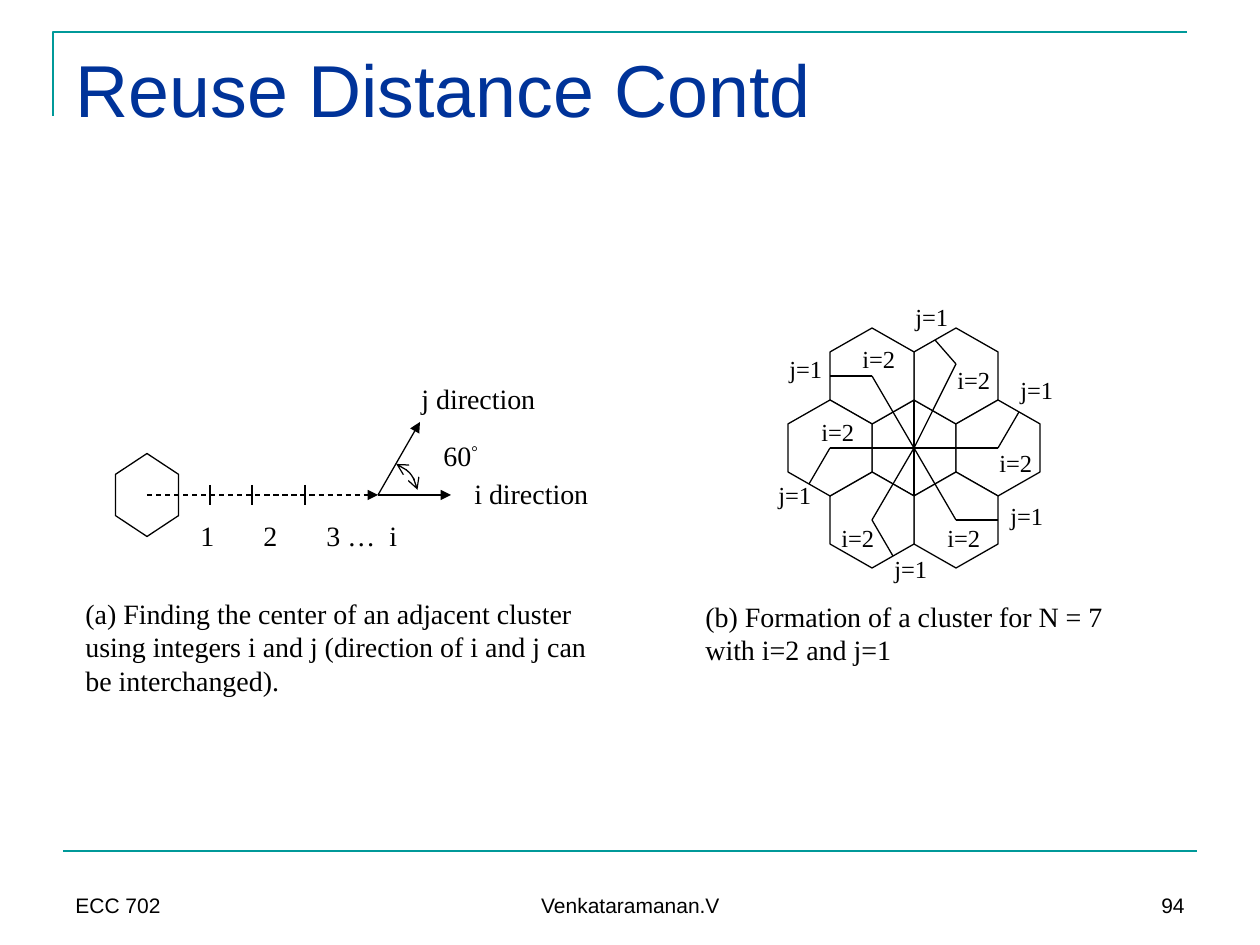
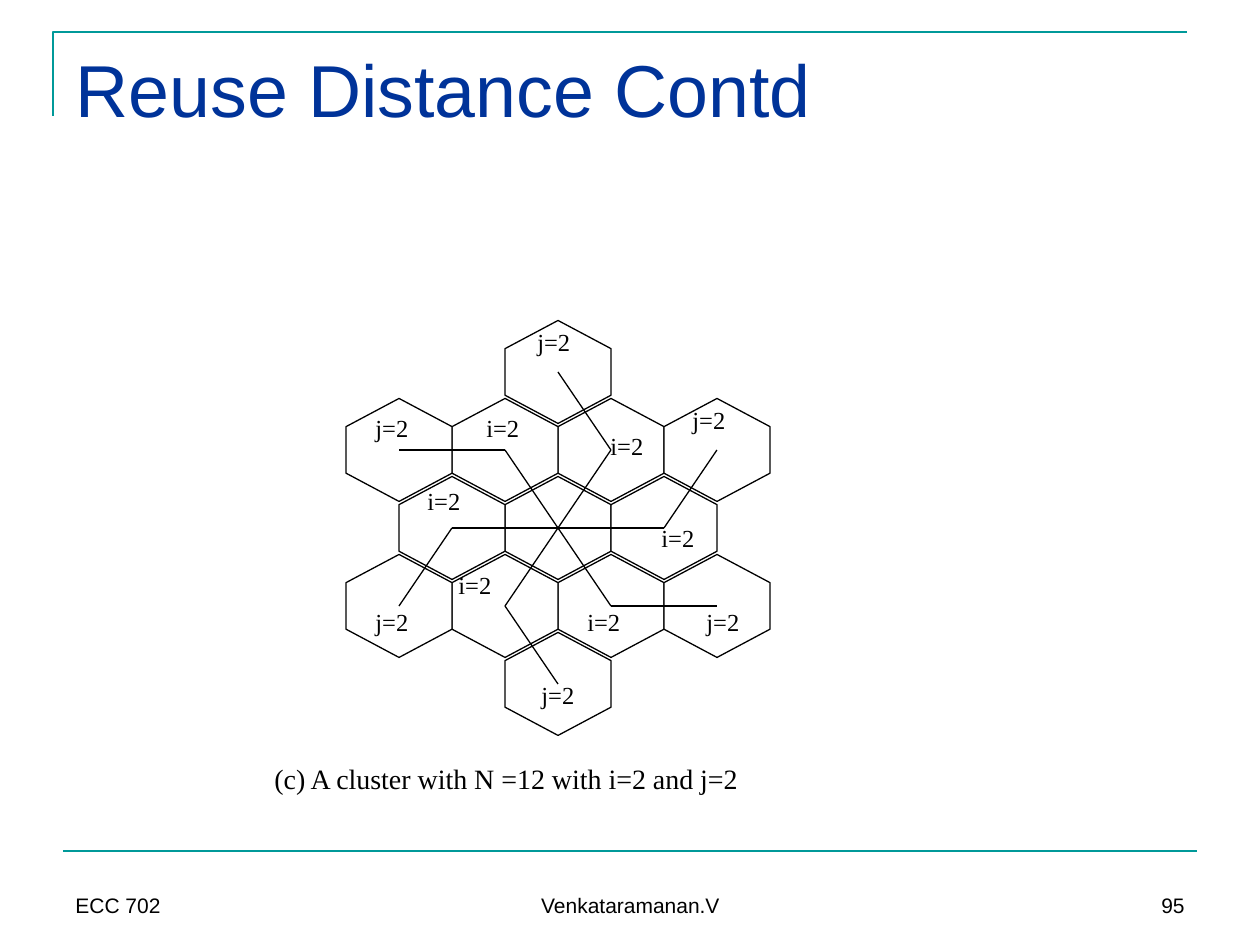
import pptx
import pptx.dml.color
import pptx.enum.dml
import pptx.enum.shapes
import pptx.enum.text
import pptx.oxml.ns
import pptx.util
import lxml.etree

RGBColor = pptx.dml.color.RGBColor
ALIGN = pptx.enum.text.PP_ALIGN
ANCHOR = pptx.enum.text.MSO_ANCHOR
SHAPE = pptx.enum.shapes.MSO_SHAPE

TEAL = RGBColor(0x00, 0x99, 0x99)
NAVY = RGBColor(0x00, 0x33, 0x99)
BLACK = RGBColor(0x00, 0x00, 0x00)
WHITE = RGBColor(0xFF, 0xFF, 0xFF)

SANS = "Arial"
SERIF = "Times New Roman"
PX_PER_INCH = 126
PAGE_WIDTH, PAGE_HEIGHT = 1260, 945


def px(length):
    return pptx.util.Inches(length / PX_PER_INCH)


def add_child(parent, tag, **attributes):
    return lxml.etree.SubElement(parent, pptx.oxml.ns.qn(tag), attributes)


class Board:
    """Holds the deck, its style and the slide being drawn."""

    def __init__(self):
        self.deck = pptx.Presentation()
        self.deck.slide_width = px(PAGE_WIDTH)
        self.deck.slide_height = px(PAGE_HEIGHT)
        self.shapes = None

    def page(self, title, number):
        """Start a slide with the shared bands, title and footers."""
        self.shapes = self.deck.slides.add_slide(self.deck.slide_layouts[5]).shapes
        self.corner([(53, 116), (53, 32), (1187, 32)])
        self.line((63, 851), (1197, 851), TEAL, 1.5)

        heading = self.shapes.title
        heading.left, heading.top = px(63), px(38)
        heading.width, heading.height = px(1134), px(158)
        frame = heading.text_frame
        frame.text = title
        frame.auto_size = pptx.enum.text.MSO_AUTO_SIZE.NONE
        frame.vertical_anchor = ANCHOR.TOP
        self.format(frame, 42, SANS, NAVY, ALIGN.LEFT)

        footers = [
            ("ECC 702", 63, 294, ALIGN.LEFT),
            ("Venkataramanan.V", 431, 399, ALIGN.CENTER),
            (str(number), 903, 294, ALIGN.RIGHT),
        ]
        for words, left, width, align in footers:
            self.text(words, (left, 861), (width, 63), 12, SANS, align, ANCHOR.BOTTOM)

    def format(self, frame, size, font, color, align):
        for para in frame.paragraphs:
            para.alignment = align
            for span in para.runs:
                span.font.size = pptx.util.Pt(size)
                span.font.name = font
                span.font.color.rgb = color

    def text(self, words, corner, size, points=16, font=SERIF,
             align=ALIGN.LEFT, anchor=ANCHOR.TOP):
        box = self.shapes.add_textbox(*map(px, corner + size))
        frame = box.text_frame
        frame.word_wrap = True
        frame.vertical_anchor = anchor
        frame.text = words
        self.format(frame, points, font, BLACK, align)
        return frame.paragraphs[0]

    def tabbed_text(self, words, corner, size, stops):
        """Write words in columns; the first stop is the indent."""
        para = self.text("\t".join(words), corner, size)
        properties = para._p.get_or_add_pPr()
        properties.set("marL", str(px(stops[0])))
        properties.set("indent", "0")
        tabs = add_child(properties, "a:tabLst")
        for stop in stops[1:]:
            add_child(tabs, "a:tab", pos=str(px(stop)), algn="l")

    def labels(self, words, corners, size):
        for corner in corners:
            self.text(words, corner, size, 14)

    def line(self, start, end, color=BLACK, width=0.75, dashed=False, tail=None):
        connector = self.shapes.add_connector(
            pptx.enum.shapes.MSO_CONNECTOR.STRAIGHT, *map(px, start + end))
        add_child(connector._element.spPr, "a:effectLst")
        self.stroke(connector, color, width)
        if dashed:
            connector.line.dash_style = pptx.enum.dml.MSO_LINE.DASH
        if tail:
            add_child(connector.line._get_or_add_ln(), "a:tailEnd", type=tail)

    def stroke(self, shape, color=BLACK, width=0.75):
        shape.line.color.rgb = color
        shape.line.width = pptx.util.Pt(width)

    def corner(self, points):
        builder = self.shapes.build_freeform(*points[0], scale=px(1))
        builder.add_line_segments(points[1:], close=False)
        outline = builder.convert_to_shape()
        outline.shadow.inherit = False
        outline.fill.background()
        self.stroke(outline, TEAL, 1.5)

    def hexagon(self, center, size, slant):
        """Draw a hexagon that stands on a point; size is (height, width)."""
        length, breadth = size
        left, top = center[0] - length / 2, center[1] - breadth / 2
        cell = self.shapes.add_shape(
            SHAPE.HEXAGON, px(left), px(top), px(length), px(breadth))
        cell.rotation = 90
        cell.adjustments[0] = slant
        cell.shadow.inherit = False
        cell.fill.solid()
        cell.fill.fore_color.rgb = WHITE
        self.stroke(cell)

    def angle_arc(self, center, radius, start, end):
        """Draw a two-headed arc between clockwise angles in degrees."""
        left, top = center[0] - radius, center[1] - radius
        arc = self.shapes.add_shape(
            SHAPE.ARC, px(left), px(top), px(2 * radius), px(2 * radius))
        arc.adjustments[0] = start * 0.6
        arc.adjustments[1] = end * 0.6
        arc.shadow.inherit = False
        arc.fill.background()
        self.stroke(arc)
        for tag in ("a:headEnd", "a:tailEnd"):
            add_child(arc.line._get_or_add_ln(), tag, type="arrow")

    def cluster(self, center, step, cells, spokes, size, slant):
        """Draw cells and bent spokes at (column, row) grid places."""
        def place(spot):
            return tuple(round(c + s * g) for c, s, g in zip(center, step, spot))

        for cell in cells:
            self.hexagon(place(cell), size, slant)
        for spoke in spokes:
            for start, end in zip(spoke, spoke[1:]):
                self.line(place(start), place(end))


HUB = (0, 0)
RING = [(1, -1), (-1, -1), (2, 0), (1, 1), (-1, 1), (-2, 0)]


def draw_directions(board):
    axis_y = 495
    origin, turn = (147, axis_y), (378, axis_y)
    board.hexagon(origin, (83, 63), 0.33)
    board.line(origin, turn, dashed=True, tail="triangle")
    board.line(turn, (420, 422), tail="triangle")
    board.line(turn, (451, axis_y), tail="triangle")
    board.angle_arc((385, axis_y), 33, 290, 351)
    for x in (210, 252, 305):
        board.line((x, axis_y - 10), (x, axis_y + 10))
    board.tabbed_text(["1", "2", "3 …", "i"], (147, 512), (378, 47), [41, 83, 132, 195])
    board.text("j direction", (409, 375), (179, 47))
    board.text("i direction", (462, 470), (179, 47))

    angle = board.text("60", (431, 432), (73, 47))
    degree = angle.add_run()
    degree.text = "°"
    degree.font.size = pptx.util.Pt(16)
    degree.font.name = SERIF
    degree.font.color.rgb = BLACK
    degree._r.get_or_add_rPr().set("baseline", "30000")

    board.text("(a) Finding the center of an adjacent cluster using integers i and j "
               "(direction of i and j can be interchanged).", (73, 590), (557, 113))


def draw_seven_cells(board):
    spokes = [
        [(0, -0.67), (0, 0.67)],
        [(-1, 0), (1, 0)],
        [HUB, (-1, -1), (-2, -1)],
        [HUB, (1, -1.17), (0.5, -1.5)],
        [HUB, (2, 0), (2.5, -0.5)],
        [HUB, (1, 1), (2, 1)],
        [HUB, (-1, 1), (-0.5, 1.5)],
        [HUB, (-2, 0), (-2.5, 0.5)],
    ]
    board.cluster((914, 448), (42, 72), [HUB] + RING, spokes, (96, 84), 0.285)
    size = (63, 42)
    board.labels("i=2", [(850, 338), (945, 359), (809, 411),
                         (987, 442), (935, 517), (829, 517)], size)
    board.labels("j=1", [(777, 348), (903, 296), (766, 474),
                         (882, 548), (1008, 369), (998, 495)], size)
    board.text("(b) Formation of a cluster for N = 7 with i=2 and j=1", (693, 593), (462, 81))


def draw_twelve_cells(board):
    outer = [(0, 2), (-3, -1), (3, 1), (-3, 1), (3, -1), (0, -2)]
    spokes = [
        [HUB, (-1, -1), (-3, -1)],
        [HUB, (1, -1), (0, -2)],
        [HUB, (2, 0), (3, -1)],
        [HUB, (1, 1), (3, 1)],
        [HUB, (-1, 1), (0, 2)],
        [HUB, (-2, 0), (-3, 1)],
    ]
    board.cluster((558, 528), (53, 78), [HUB] + RING + outer, spokes, (103, 106), 0.274)
    size = (106, 49)
    board.labels("j=2", [(680, 399), (525, 321), (363, 407),
                         (694, 601), (363, 601), (529, 674)], size)
    board.labels("i=2", [(474, 407), (415, 480), (446, 564),
                         (575, 601), (649, 517), (598, 425)], size)
    board.text("(c) A cluster with N =12 with i=2 and j=2", (262, 755), (746, 54))


def main():
    board = Board()
    board.page("Reuse Distance Contd", 94)
    draw_directions(board)
    draw_seven_cells(board)
    board.page("Reuse Distance Contd", 95)
    draw_twelve_cells(board)
    board.deck.save("out.pptx")


if __name__ == "__main__":
    main()
